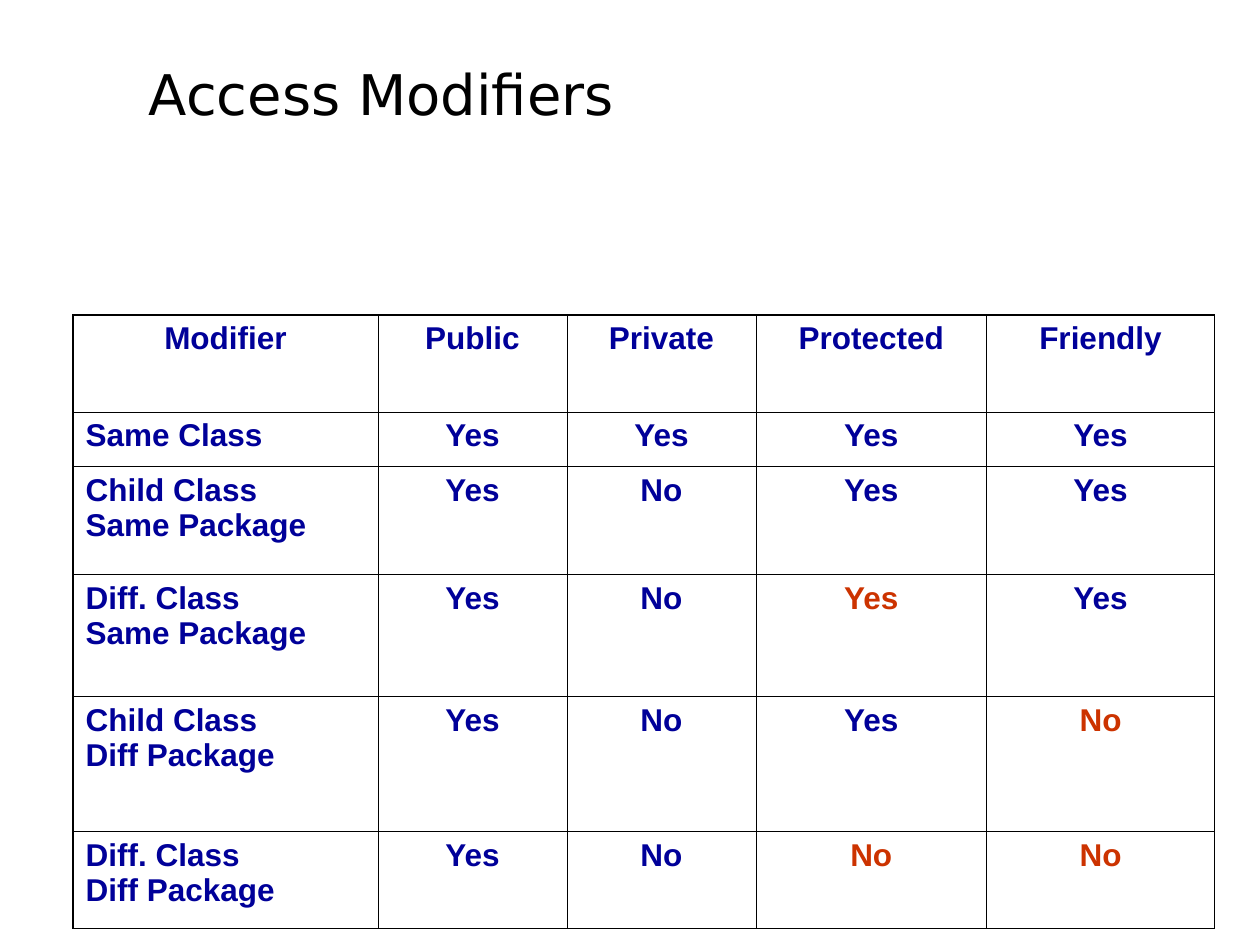
from dataclasses import dataclass

from lxml import etree
from pptx import Presentation
from pptx.dml.color import RGBColor
from pptx.enum.text import MSO_ANCHOR, MSO_AUTO_SIZE, PP_ALIGN
from pptx.oxml.ns import qn
from pptx.util import Inches, Pt

LEFT, CENTER = PP_ALIGN.LEFT, PP_ALIGN.CENTER
TOP = MSO_ANCHOR.TOP
NO_AUTOFIT = MSO_AUTO_SIZE.NONE
TITLE_ONLY = 5

COLORS = {"title": "000000", "border": "000000", "entry": "000099", "highlight": "CC3300"}
OUTER_BORDER, INNER_BORDER = 1.08, 0.45

COLUMN_WIDTHS = [2.42, 1.5, 1.5, 1.83, 1.81]
HEADINGS = ["Modifier", "Public", "Private", "Protected", "Friendly"]


@dataclass(frozen=True)
class AccessRow:
    scope: str
    height: float
    access: list[str]
    highlighted: tuple[str, ...] = ()


ACCESS_ROWS = [
    AccessRow("Same Class", 0.43, ["Yes", "Yes", "Yes", "Yes"]),
    AccessRow("Child Class\nSame Package", 0.86, ["Yes", "No", "Yes", "Yes"]),
    AccessRow("Diff. Class\nSame Package", 0.97, ["Yes", "No", "Yes", "Yes"], ("Protected",)),
    AccessRow("Child Class\nDiff Package", 1.07, ["Yes", "No", "Yes", "No"], ("Friendly",)),
    AccessRow("Diff. Class\nDiff Package", 0.77, ["Yes", "No", "No", "No"],
              ("Protected", "Friendly")),
]
HEADING_HEIGHT = 0.77


def write_text(frame, text: str, *, font: str, size: float, color: str,
               bold: bool = False, align=LEFT, space_before: float = 0) -> None:
    paragraph = frame.paragraphs[0]
    paragraph.text = text
    paragraph.alignment = align
    paragraph.space_before = Pt(space_before)
    for run in paragraph.runs:
        run.font.name = font
        run.font.size = Pt(size)
        run.font.bold = bold
        run.font.color.rgb = RGBColor.from_string(COLORS[color])


def set_borders(cell, widths: dict[str, float]) -> None:
    """Draw cell borders; widths maps L, R, T and B, in that order, to points."""
    properties = cell._tc.get_or_add_tcPr()
    for side, width in widths.items():
        line = etree.SubElement(properties, qn(f"a:ln{side}"), w=str(Pt(width)))
        fill = etree.SubElement(line, qn("a:solidFill"))
        etree.SubElement(fill, qn("a:srgbClr"), val=COLORS["border"])


def add_title(slide) -> None:
    title = slide.shapes.title
    title.left, title.top = Inches(1.08), Inches(0.42)
    title.width, title.height = Inches(6.17), Inches(0.64)
    frame = title.text_frame
    frame.auto_size = NO_AUTOFIT
    frame.word_wrap = True
    frame.vertical_anchor = TOP
    write_text(frame, "Access Modifiers", font="DejaVu Sans", size=32, color="title",
               space_before=20)


def add_access_table(slide) -> None:
    heights = [HEADING_HEIGHT] + [row.height for row in ACCESS_ROWS]
    last_row, last_column = len(heights) - 1, len(COLUMN_WIDTHS) - 1
    table = slide.shapes.add_table(
        len(heights), len(COLUMN_WIDTHS), Inches(0.58), Inches(2.5),
        Inches(sum(COLUMN_WIDTHS)), Inches(sum(heights))).table
    table.first_row = table.horz_banding = False
    for column, width in zip(table.columns, COLUMN_WIDTHS):
        column.width = Inches(width)
    for row, height in zip(table.rows, heights):
        row.height = Inches(height)

    entries = [HEADINGS] + [[row.scope, *row.access] for row in ACCESS_ROWS]
    highlights = [()] + [row.highlighted for row in ACCESS_ROWS]
    for r, (texts, highlighted) in enumerate(zip(entries, highlights)):
        for c, (text, heading) in enumerate(zip(texts, HEADINGS)):
            cell = table.cell(r, c)
            is_outer = {"L": c == 0, "R": c == last_column, "T": r == 0, "B": r == last_row}
            set_borders(cell, {side: OUTER_BORDER if outer else INNER_BORDER
                               for side, outer in is_outer.items()})
            cell.fill.background()
            write_text(cell.text_frame, text, font="Arial", size=18, bold=True,
                       color="highlight" if heading in highlighted else "entry",
                       align=LEFT if c == 0 and r > 0 else CENTER, space_before=4.5)


def main() -> None:
    presentation = Presentation()
    presentation.slide_width, presentation.slide_height = Inches(10), Inches(7.5)
    slide = presentation.slides.add_slide(presentation.slide_layouts[TITLE_ONLY])
    add_access_table(slide)
    add_title(slide)
    presentation.save("out.pptx")


if __name__ == "__main__":
    main()
